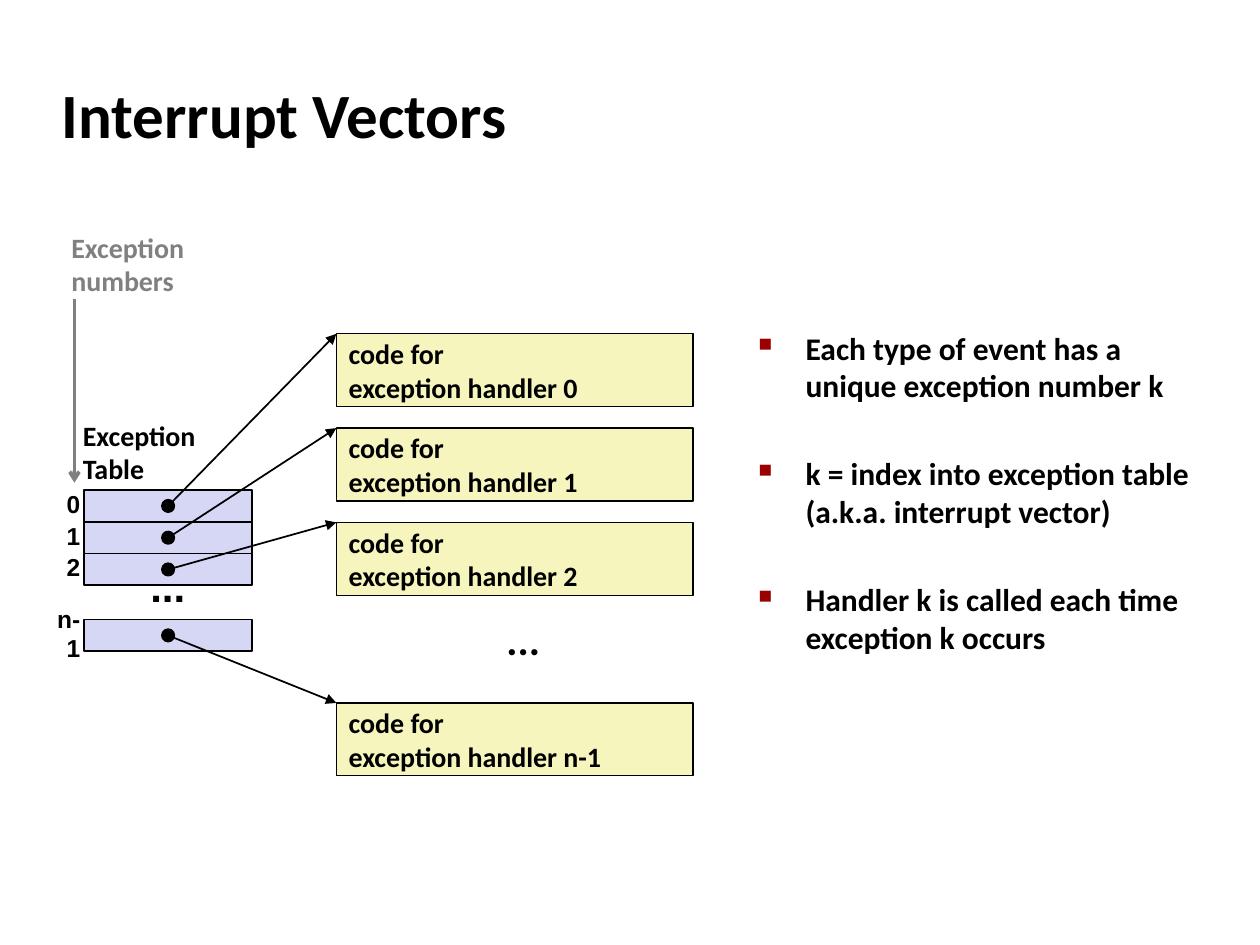
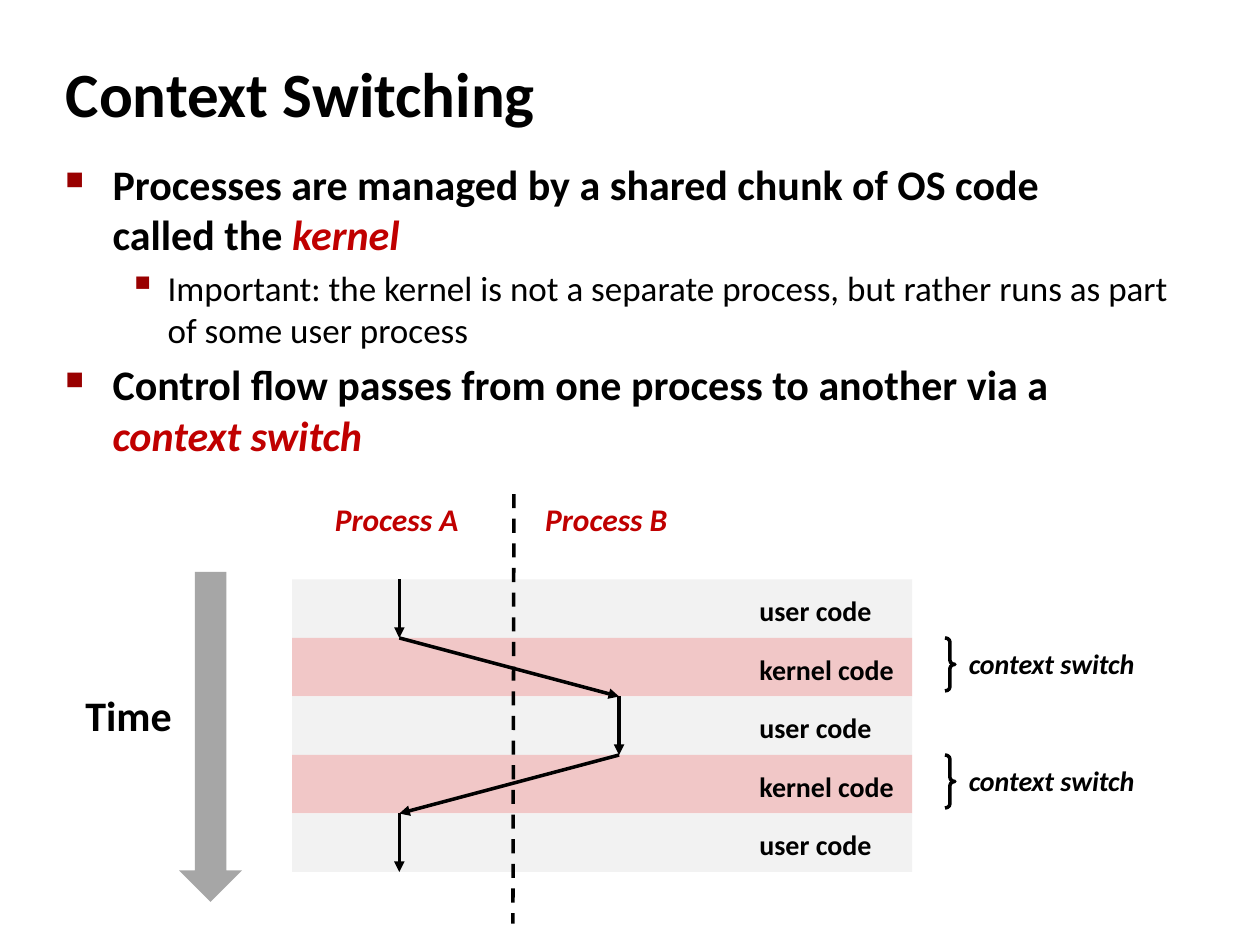
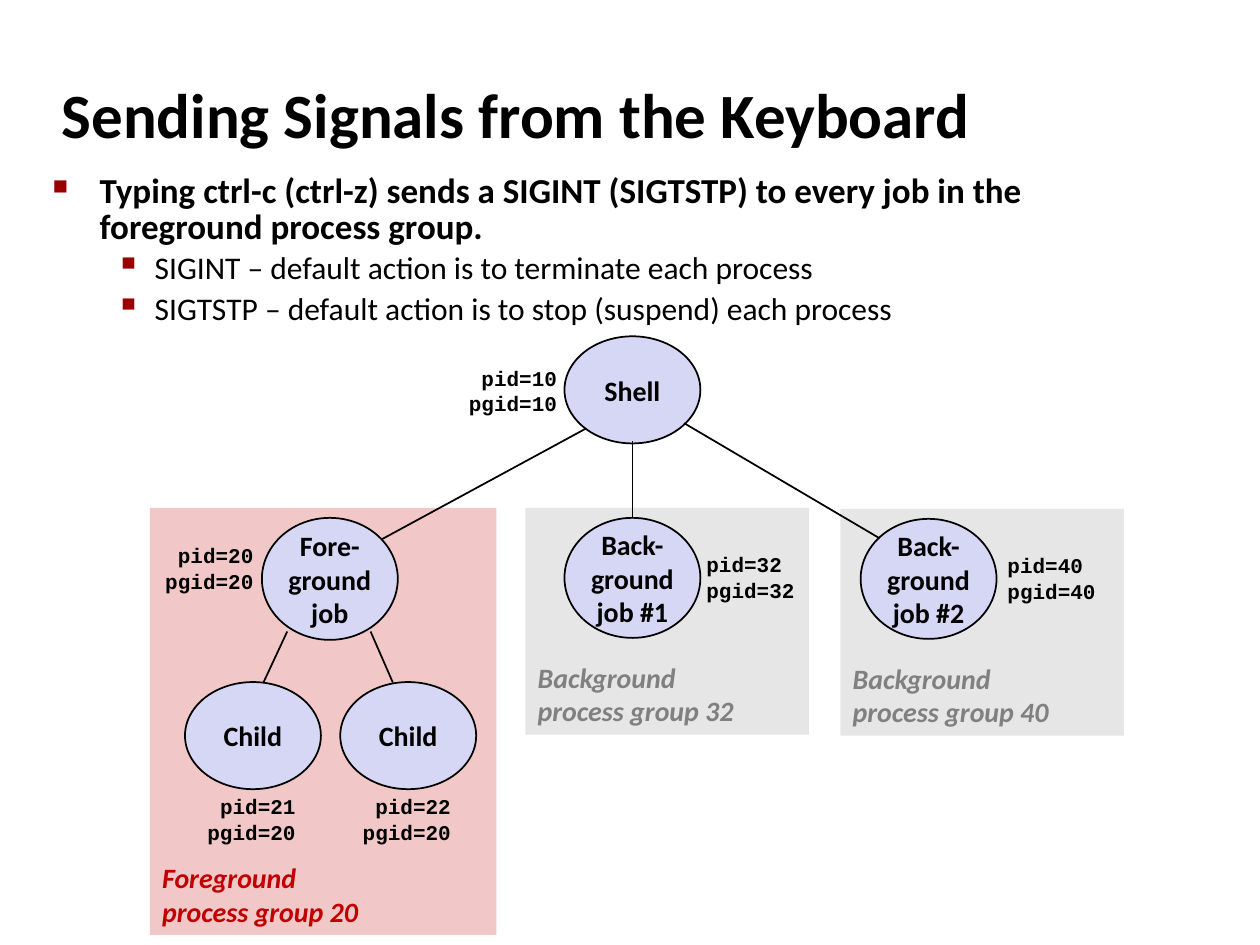
import collections
import itertools

import pptx
import pptx.dml.color
import pptx.enum.dml
import pptx.enum.shapes
import pptx.enum.text
import pptx.oxml
import pptx.oxml.ns
import pptx.util
from pptx.util import Cm

RGBColor = pptx.dml.color.RGBColor
SHAPE = pptx.enum.shapes.MSO_SHAPE
ALIGN = pptx.enum.text.PP_ALIGN
ANCHOR = pptx.enum.text.MSO_ANCHOR
AUTO_SIZE = pptx.enum.text.MSO_AUTO_SIZE

# Colours
BLACK = RGBColor(0x00, 0x00, 0x00)
GREY = RGBColor(0x80, 0x80, 0x80)
ARROW_GREY = RGBColor(0xA6, 0xA6, 0xA6)
GROUP_GREY = RGBColor(0xE6, 0xE6, 0xE6)
BAND_GREY = RGBColor(0xF2, 0xF2, 0xF2)
PINK = RGBColor(0xF1, 0xC7, 0xC7)
RED = RGBColor(0xC0, 0x00, 0x00)
BULLET_RED = RGBColor(0x99, 0x00, 0x00)
LAVENDER = RGBColor(0xD6, 0xD6, 0xF5)
CREAM = RGBColor(0xF6, 0xF5, 0xBD)

# Text formats
LABEL = {"name": "Calibri", "size": 16, "bold": True, "italic": False, "color": BLACK}
TITLE = LABEL | {"size": 36}
EMPHASIS = {"italic": True, "color": RED}
INDEX = LABEL | {"name": "Arial", "size": 14}
IDS = LABEL | {"name": "Courier New", "size": 12}

# Bullet levels: character, size in percent, text indent and hanging indent in cm
BULLETS = [("■", 60, 0.95, 0.95), ("▪", 110, 2.06, 0.79)]

# All box lengths are in cm
Box = collections.namedtuple("Box", "left top width height")


def lengths(box):
    return [Cm(value) for value in box]


def set_format(target, values):
    for name, value in values.items():
        if name == "color":
            target.color.rgb = value
        else:
            setattr(target, name, pptx.util.Pt(value) if name == "size" else value)


def write_paragraph(paragraph, text, look):
    """Write text; parts between asterisks are emphasised, newlines break lines."""
    for part, words in enumerate(text.split("*")):
        for row, line in enumerate(words.split("\n")):
            if row:
                paragraph.add_line_break()
            if line:
                run = paragraph.add_run()
                run.text = line
                set_format(run.font, look | EMPHASIS if part % 2 else look)


def write(frame, text, look, align=ALIGN.LEFT):
    """Write one paragraph for each line of text."""
    for row, line in enumerate(text.split("\n")):
        paragraph = frame.add_paragraph() if row else frame.paragraphs[0]
        paragraph.alignment = align
        write_paragraph(paragraph, line, look)


def add_label(slide, box, text, look=LABEL, align=ALIGN.LEFT, anchor=ANCHOR.TOP):
    frame = slide.shapes.add_textbox(*lengths(box)).text_frame
    set_format(frame, {"word_wrap": False, "vertical_anchor": anchor,
                       "auto_size": AUTO_SIZE.SHAPE_TO_FIT_TEXT})
    write(frame, text, look, align)


def add_block(slide, kind, box, fill=None, line=None, text="", align=ALIGN.LEFT, wrap=True):
    block = slide.shapes.add_shape(kind, *lengths(box))
    block.shadow.inherit = False
    if fill is None:
        block.fill.background()
    else:
        block.fill.solid()
        block.fill.fore_color.rgb = fill
    if line is None:
        block.line.fill.background()
    else:
        block.line.color.rgb = BLACK
        block.line.width = pptx.util.Pt(line)
    if text:
        set_format(block.text_frame, {"word_wrap": wrap, "vertical_anchor": ANCHOR.MIDDLE})
        write(block.text_frame, text, LABEL, align)
    return block


def add_line(slide, start, end, width=1, color=BLACK, head=None, dash=None):
    line = slide.shapes.add_connector(
        pptx.enum.shapes.MSO_CONNECTOR.STRAIGHT, *lengths(start + end))
    line.line.color.rgb = color
    line.line.width = pptx.util.Pt(width)
    if dash:
        line.line.dash_style = dash
    if head:
        tail = pptx.oxml.xmlchemy.OxmlElement("a:tailEnd")
        tail.set("type", head)
        line.line._get_or_add_ln().append(tail)
    line._element.spPr.append(pptx.oxml.xmlchemy.OxmlElement("a:effectLst"))


def add_titled_slide(deck, title, box):
    slide = deck.slides.add_slide(deck.slide_layouts[5])
    heading = slide.shapes.title
    set_format(heading, dict(zip(Box._fields, lengths(box))))
    set_format(heading.text_frame, {"word_wrap": True, "vertical_anchor": ANCHOR.MIDDLE,
                                    "auto_size": AUTO_SIZE.NONE})
    write(heading.text_frame, title, TITLE)
    return slide


def add_bullet(paragraph, level):
    character, percent, indent, hanging = BULLETS[level]
    properties = paragraph._p.get_or_add_pPr()
    properties.set("marL", str(Cm(indent)))
    properties.set("indent", str(-Cm(hanging)))
    namespace = pptx.oxml.ns.nsdecls("a")
    for markup in (
        f'<a:buClr {namespace}><a:srgbClr val="{BULLET_RED}"/></a:buClr>',
        f'<a:buSzPct {namespace} val="{percent * 1000}"/>',
        f'<a:buChar {namespace} char="{character}"/>',
    ):
        properties.append(pptx.oxml.parse_xml(markup))


def add_bullets(slide, box, points, sizes, gap=0, spacings=(None, None)):
    """Write (level, text) points; sizes and spacings go by level."""
    frame = slide.shapes.add_textbox(*lengths(box)).text_frame
    frame.word_wrap = True
    for row, (level, text) in enumerate(points):
        paragraph = frame.add_paragraph() if row else frame.paragraphs[0]
        size = sizes[level]
        set_format(paragraph, {
            "space_before": pptx.util.Pt(gap if row and gap else size * 0.2),
            "line_spacing": spacings[level],
        })
        add_bullet(paragraph, level)
        write_paragraph(paragraph, text, LABEL | {"size": size, "bold": level == 0})


# Interrupt vectors
def add_exception_table(slide, box):
    """Draw the table rows and return the centre of each row's dot."""
    row_height, dot = 0.64, 0.25
    middle = box.left + box.width / 2
    centres = []
    row_tops = [box.top + row * row_height for row in range(3)]
    row_tops.append(box.top + box.height - row_height)
    for number, top in zip(["0", "1", "2", "n-1"], row_tops):
        centre = top + row_height / 2
        add_block(slide, SHAPE.RECTANGLE, Box(box.left, top, box.width, row_height), LAVENDER, 1)
        add_block(slide, SHAPE.OVAL, Box(middle - dot / 2, centre - dot / 2, dot, dot), BLACK, 1)
        add_label(slide, Box(box.left - 1.07, centre - 0.47, 1.24, 0.84), number,
                  INDEX, ALIGN.RIGHT, ANCHOR.MIDDLE)
        centres.append((middle, centre))
    add_label(slide, Box(middle - 0.61, box.top + 1.3, 1.22, 1.27), "...",
              INDEX | {"size": 24}, anchor=ANCHOR.MIDDLE)
    add_label(slide, Box(box.left - 0.28, box.top - 1.57, 2.82, 1.63), "Exception\nTable")
    return centres


def add_handlers(slide, box):
    """Draw the handlers and return the top left corner of each."""
    height, pitch = 1.47, 1.9
    tops = [box.top + row * pitch for row in range(3)] + [box.top + box.height - height]
    for number, top in zip(["0", "1", "2", "n-1"], tops):
        add_block(slide, SHAPE.RECTANGLE, Box(box.left, top, box.width, height), CREAM, 0.75,
                  f"code for\nexception handler {number}")
    add_label(slide, Box(box.left + 3.18, box.top + 5.51, 1.22, 1.27), "...",
              LABEL | {"size": 24}, anchor=ANCHOR.MIDDLE)
    return [(box.left, top) for top in tops]


def build_interrupt_vectors(deck):
    slide = add_titled_slide(deck, "Interrupt Vectors", Box(0.99, 1.22, 21.08, 2.11))
    add_bullets(slide, Box(15.04, 6.5, 9.96, 7.19), [
        (0, "Each type of event has a \nunique exception number k"),
        (0, "k = index into exception table \n(a.k.a. interrupt vector)"),
        (0, "Handler k is called each time \nexception k occurs"),
    ], sizes=[18], gap=28.6)
    entries = add_exception_table(slide, Box(1.7, 9.88, 3.38, 3.25))
    handlers = add_handlers(slide, Box(6.78, 6.73, 7.19, 8.91))
    for entry, handler in zip(entries, handlers):
        add_line(slide, entry, handler, head="triangle")
    add_label(slide, Box(1.19, 4.52, 2.95, 1.63), "Exception\nnumbers", LABEL | {"color": GREY})
    add_line(slide, (1.5, 6.02), (1.5, 9.73), 2, GREY, "arrow")


# Context switching
def add_timeline(slide, box):
    """Draw the bands of user and kernel code and the control flow through them."""
    bands = ["user", "kernel", "user", "kernel", "user"]
    height = box.height / len(bands)
    edges = [box.top + row * height for row in range(len(bands) + 1)]
    for code, top in zip(bands, edges):
        add_block(slide, SHAPE.RECTANGLE, Box(box.left, top, box.width, height),
                  PINK if code == "kernel" else BAND_GREY)
        add_label(slide, Box(box.left + 9.17, top + 0.16, 3.25, 0.94), f"{code} code")
        if code == "kernel":
            brace = add_block(slide, SHAPE.RIGHT_BRACE,
                              Box(box.left + 13.16, top, 0.2, 1.07), line=2)
            brace.adjustments[0] = 0.417
            add_label(slide, Box(box.left + 13.39, top + 0.05, 3.91, 0.94), "context switch",
                      LABEL | {"italic": True})

    # Process columns
    for process, offset in [("A", 0.61), ("B", 4.85)]:
        add_label(slide, Box(box.left + offset, box.top - 1.72, 3.05, 1.02),
                  f"Process {process}", LABEL | EMPHASIS | {"size": 18})
    add_line(slide, (box.left + 4.47, box.top - 1.72), (box.left + 4.45, box.top + 6.94), 2,
             dash=pptx.enum.dml.MSO_LINE.DASH)

    # Control flow
    process_a, process_b = box.left + 2.16, box.left + 6.59
    columns = [process_a, process_a, process_b, process_b, process_a, process_a]
    for start, end in itertools.pairwise(zip(columns, edges)):
        add_line(slide, start, end, 2, head="triangle")


def add_time_arrow(slide, box):
    add_block(slide, SHAPE.DOWN_ARROW, box, ARROW_GREY)
    add_label(slide, Box(box.left - 2.14, box.top + 2.24, 2.26, 1.27), "Time",
              LABEL | {"size": 24})


def build_context_switching(deck):
    slide = add_titled_slide(deck, "Context Switching", Box(1.07, 1.07, 16.23, 1.6))
    add_bullets(slide, Box(1.07, 3.07, 23.04, 7.09), [
        (0, "Processes are managed by a shared chunk of OS code \ncalled the *kernel*"),
        (1, "Important: the kernel is not a separate process, but rather runs as part "
            "of some user process"),
        (0, "Control flow passes from one process to another via a *context switch*"),
    ], sizes=[24, 20])
    add_timeline(slide, Box(5.89, 11.68, 12.5, 5.9))
    add_time_arrow(slide, Box(3.61, 11.53, 1.27, 6.65))


# Signals from the keyboard
def add_process(slide, left, top, name, height=2.16):
    add_block(slide, SHAPE.OVAL, Box(left, top, 2.74, height), LAVENDER, 1, name,
              ALIGN.CENTER, wrap=False)


def add_ids(slide, left, top, pid, pgid, align=ALIGN.RIGHT):
    add_label(slide, Box(left, top, 2.31, 1.27), f"pid={pid}\npgid={pgid}", IDS, align,
              ANCHOR.MIDDLE)


def add_group(slide, box, kind, number, fill, color):
    add_block(slide, SHAPE.RECTANGLE, box, fill)
    add_label(slide, Box(box.left, box.top + box.height - 1.64, 4.52, 1.63),
              f"{kind}\nprocess group {number}",
              LABEL | {"italic": True, "color": color}, anchor=ANCHOR.MIDDLE)


def add_background_group(slide, box, job, number, job_offset, ids_offset):
    add_group(slide, box, "Background", number, GROUP_GREY, GREY)
    add_process(slide, box.left + job_offset, box.top + 0.2, f"Back-\nground\njob #{job}", 2.42)
    add_ids(slide, box.left + ids_offset, box.top + 0.76, number, number, ALIGN.LEFT)


def add_foreground_group(slide, box):
    add_group(slide, box, "Foreground", 20, PINK, RED)
    add_process(slide, box.left + 2.26, box.top + 0.2, "Fore-\nground\njob", 2.46)
    add_ids(slide, box.left + 0.03, box.top + 0.58, 20, 20)
    for child, (pid, fork, joint) in enumerate([(21, 2.77, 2.29), (22, 4.45, 4.9)]):
        left = box.left + 0.71 + child * 3.13
        add_process(slide, left, box.top + 3.51, "Child")
        add_ids(slide, left + 0.17, box.top + 5.64, pid, 20)
        add_line(slide, (box.left + fork, box.top + 2.49), (box.left + joint, box.top + 3.52))


def add_shell(slide, box, jobs):
    """Draw the shell and join its lower edge to the jobs."""
    add_process(slide, box.left, box.top, "Shell", box.height)
    add_ids(slide, box.left - 2.21, box.top + 0.46, 10, 10)
    for (across, down), job in zip([(0.43, 1.86), (1.37, 2.11), (2.41, 1.75)], jobs):
        add_line(slide, (box.left + across, box.top + down), job)


def build_sending_signals(deck):
    slide = add_titled_slide(deck, "Sending Signals from the Keyboard",
                             Box(0.99, 1.22, 21.08, 2.11))
    add_bullets(slide, Box(0.81, 3.4, 23.09, 3.58), [
        (0, "Typing ctrl-c (ctrl-z) sends a SIGINT (SIGTSTP) to every job in the "
            "foreground process group."),
        (1, "SIGINT – default action is to terminate each process"),
        (1, "SIGTSTP – default action is to stop (suspend) each process"),
    ], sizes=[20, 18], spacings=[0.85, 0.9])
    add_background_group(slide, Box(16.94, 10.26, 5.72, 4.57), 2, 40, 0.41, 3.12)
    add_background_group(slide, Box(10.59, 10.24, 5.72, 4.57), 1, 32, 0.79, 3.4)
    add_foreground_group(slide, Box(3.02, 10.24, 6.99, 8.61))
    add_shell(slide, Box(11.38, 6.78, 2.74, 2.16),
              [(7.7, 10.87), (12.75, 10.44), (17.73, 10.85)])


def main():
    deck = pptx.Presentation()
    set_format(deck, {"slide_width": Cm(25.4), "slide_height": Cm(19.05)})
    build_interrupt_vectors(deck)
    build_context_switching(deck)
    build_sending_signals(deck)
    deck.save("out.pptx")


if __name__ == "__main__":
    main()
